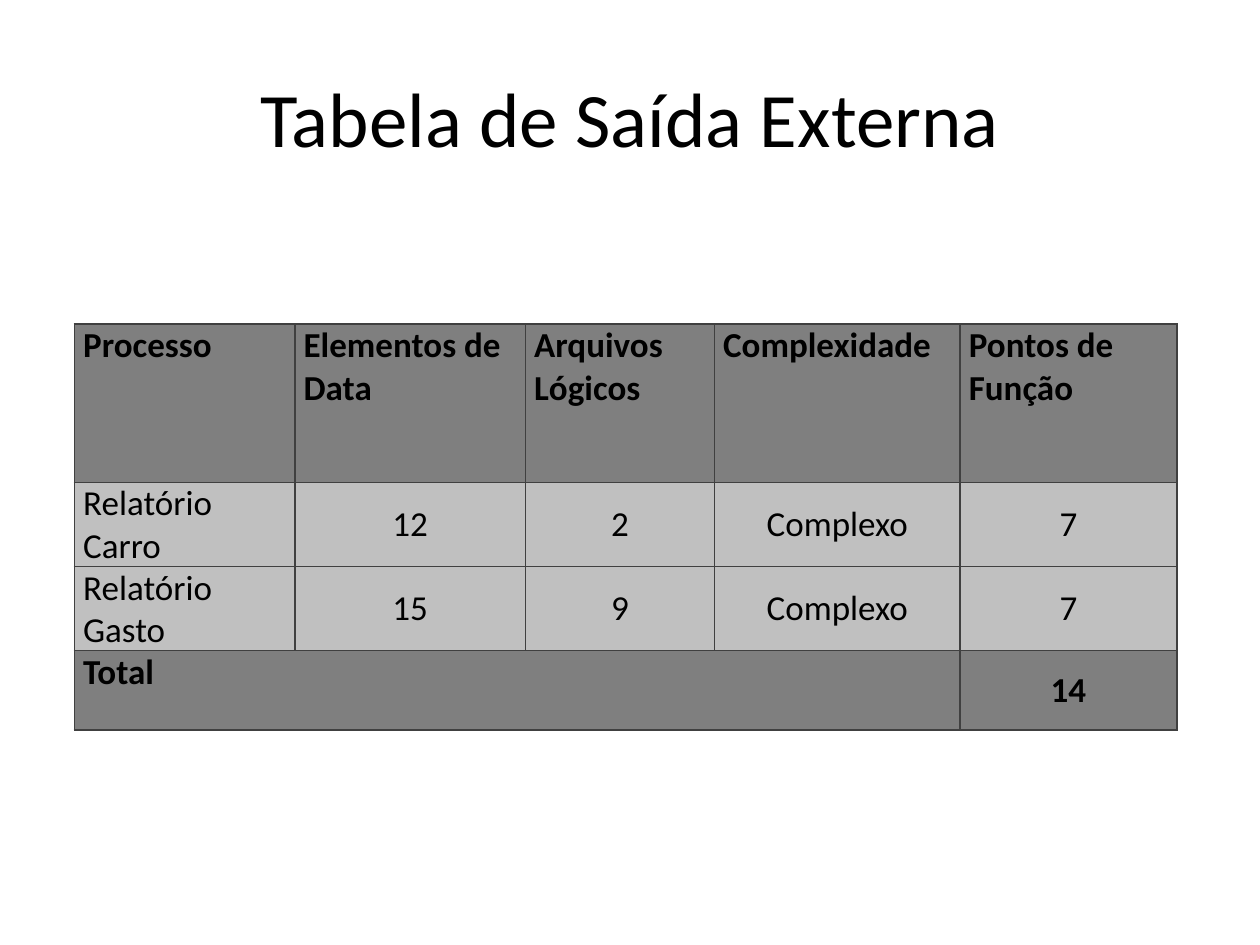
from dataclasses import dataclass

from lxml import etree
from pptx import Presentation
from pptx.dml.color import RGBColor
from pptx.enum.text import MSO_ANCHOR, PP_ALIGN
from pptx.oxml.ns import qn
from pptx.util import Inches, Pt

LEFT, CENTER = PP_ALIGN.LEFT, PP_ALIGN.CENTER
TOP, MIDDLE = MSO_ANCHOR.TOP, MSO_ANCHOR.MIDDLE


@dataclass(frozen=True)
class Theme:
    font: str = "Calibri"
    title_size: int = 44
    cell_size: int = 20
    text: str = "000000"
    band: str = "7F7F7F"
    body: str = "C0C0C0"
    border: str = "404040"
    border_width: int = 1


THEME = Theme()
WIDTH, HEIGHT = 10, 7.5
COLUMNS = (1.75, 1.83, 1.5, 1.95, 1.72)
ROW = 0.63
ROWS = (2 * ROW, ROW, ROW, ROW)
CELL_MARGIN = 0.07
DATA = (
    ("Processo", "Elementos de Data", "Arquivos Lógicos", "Complexidade", "Pontos de Função"),
    ("Relatório Carro", "12", "2", "Complexo", "7"),
    ("Relatório Gasto", "15", "9", "Complexo", "7"),
    ("Total", "", "", "", "14"),
)


def write(tf, text, size, align, bold=False):
    p = tf.paragraphs[0]
    p.text = text
    p.alignment = align
    p.font.name = THEME.font
    p.font.size = Pt(size)
    p.font.bold = bold
    p.font.color.rgb = RGBColor.from_string(THEME.text)


def add_title(s, text):
    margin = 0.05 * WIDTH
    box = s.shapes.add_textbox(
        Inches(margin), Inches(0.04 * HEIGHT), Inches(WIDTH - 2 * margin), Inches(HEIGHT / 6)
    )
    tf = box.text_frame
    tf.word_wrap = True
    tf.vertical_anchor = MIDDLE
    write(tf, text, THEME.title_size, CENTER)


def add_borders(cell):
    tc_pr = cell._tc.get_or_add_tcPr()
    for i, side in enumerate(("lnL", "lnR", "lnT", "lnB")):
        ln = etree.Element(qn(f"a:{side}"), w=str(Pt(THEME.border_width)))
        fill = etree.SubElement(ln, qn("a:solidFill"))
        etree.SubElement(fill, qn("a:srgbClr"), val=THEME.border)
        tc_pr.insert(i, ln)


def style_cell(cell, fill, anchor):
    cell.fill.solid()
    cell.fill.fore_color.rgb = RGBColor.from_string(fill)
    cell.vertical_anchor = anchor
    cell.margin_left = cell.margin_right = Inches(CELL_MARGIN)
    cell.margin_top = cell.margin_bottom = 0
    add_borders(cell)


def add_function_table(s, left, top):
    table = s.shapes.add_table(
        len(ROWS), len(COLUMNS), Inches(left), Inches(top),
        Inches(sum(COLUMNS)), Inches(sum(ROWS)),
    ).table
    for column, width in zip(table.columns, COLUMNS):
        column.width = Inches(width)
    for row, height in zip(table.rows, ROWS):
        row.height = Inches(height)

    last = len(ROWS) - 1
    for r, values in enumerate(DATA):
        band = r in (0, last)
        for c, value in enumerate(values):
            cell = table.cell(r, c)
            centered = r > 0 and c > 0
            style_cell(cell, THEME.band if band else THEME.body, MIDDLE if centered else TOP)
            write(cell.text_frame, value, THEME.cell_size, CENTER if centered else LEFT, band)
    table.cell(last, 0).merge(table.cell(last, len(COLUMNS) - 2))


def main():
    prs = Presentation()
    prs.slide_width, prs.slide_height = Inches(WIDTH), Inches(HEIGHT)
    s = prs.slides.add_slide(prs.slide_layouts[6])
    add_title(s, "Tabela de Saída Externa")
    add_function_table(s, 0.59, 2.57)
    prs.save("out.pptx")


if __name__ == "__main__":
    main()
